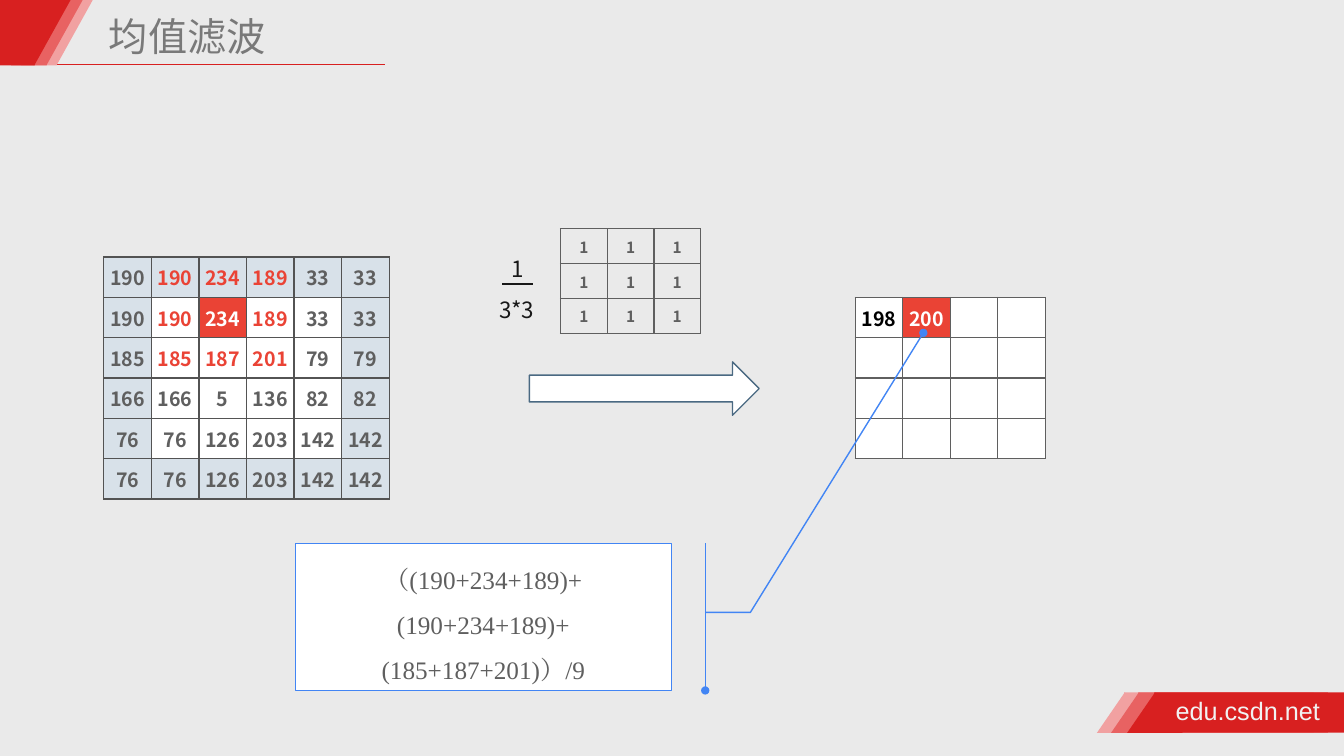
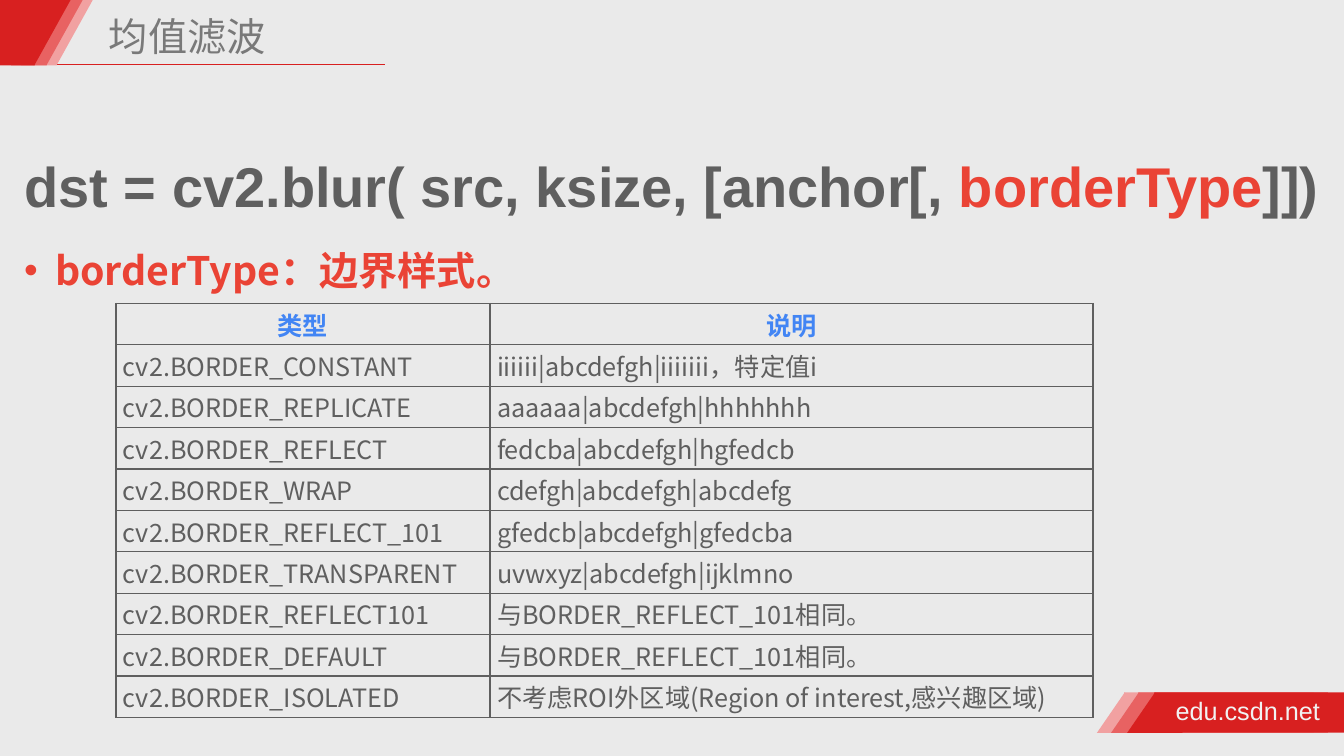
from lxml import etree
from pptx import Presentation
from pptx.dml.color import RGBColor
from pptx.enum.shapes import MSO_CONNECTOR, MSO_SHAPE
from pptx.enum.text import MSO_ANCHOR, MSO_AUTO_SIZE, PP_ALIGN
from pptx.oxml import parse_xml
from pptx.oxml.ns import nsdecls, qn
from pptx.util import Pt

PX = 9144
LEFT, CENTER = PP_ALIGN.LEFT, PP_ALIGN.CENTER
TOP, MIDDLE = MSO_ANCHOR.TOP, MSO_ANCHOR.MIDDLE
STRAIGHT = MSO_CONNECTOR.STRAIGHT
RECT, TRIANGLE = MSO_SHAPE.RECTANGLE, MSO_SHAPE.ISOSCELES_TRIANGLE
ARROW = MSO_SHAPE.RIGHT_ARROW
CALLOUT = MSO_SHAPE.LINE_CALLOUT_2_BORDER_AND_ACCENT_BAR
SANS, ARIAL, TIMES = "Noto Sans CJK SC", "Arial", "Times New Roman"
HEX = {
    "bg": "EAEAEA", "brand": "D82020", "mid": "E86262", "pale": "F1A1A1",
    "footer": "F2F2F2", "title": "797979", "text": "5F5F5F", "ink": "181818",
    "black": "000000", "white": "FFFFFF", "red": "EA4335", "blue": "4285F4",
    "pad": "D8E1E9", "edge": "535353", "arrow": "4A6982",
}
RGB = {name: RGBColor.from_string(value) for name, value in HEX.items()}
SIDES = (("lnL", 0, -1), ("lnR", 0, 1), ("lnT", -1, 0), ("lnB", 1, 0))


def style(p, size, color, font=SANS, bold=False, spacing=None, align=None):
    p.alignment = align
    p.line_spacing = spacing
    for r in p.runs:
        r.font.size = Pt(size)
        r.font.bold = bold
        r.font.name = font
        r.font.color.rgb = RGB[color]
        ea = etree.SubElement(r.font._element, qn("a:ea"))
        ea.set("typeface", font)


def add_grid(s, box, rows, size, side, edge="text"):
    frame = s.shapes.add_table(len(rows), len(rows[0]), *[v * PX for v in box])
    table = frame.table
    table.first_row = table.horz_banding = False
    used = {(i, j) for i, row in enumerate(rows) for j, item in enumerate(row) if item}
    for i, row in enumerate(rows):
        for j, item in enumerate(row):
            text, color, fill = item or ("", "text", None)
            cell = table.cell(i, j)
            cell.margin_left = cell.margin_right = side * PX
            cell.margin_top = cell.margin_bottom = 0
            cell.vertical_anchor = MIDDLE
            for tag, di, dj in SIDES:
                paint = "<a:noFill/>"
                if item or (i + di, j + dj) in used:
                    paint = f'<a:solidFill><a:srgbClr val="{HEX[edge]}"/></a:solidFill>'
                cell._tc.get_or_add_tcPr().append(parse_xml(
                    f'<a:{tag} {nsdecls("a")} w="12700">{paint}</a:{tag}>'))
            if fill:
                cell.fill.solid()
                cell.fill.fore_color.rgb = RGB[fill]
            else:
                cell.fill.background()
            cell.text_frame.text = text
            style(cell.text_frame.paragraphs[0], size, color, bold=True, align=CENTER)
    return table


prs = Presentation()
prs.slide_width, prs.slide_height = 1333 * PX, 750 * PX
layout = prs.slide_layouts[5]
layout.background.fill.solid()
layout.background.fill.fore_color.rgb = RGB["bg"]
for ph in list(layout.placeholders):
    if ph.placeholder_format.idx:
        ph.element.getparent().remove(ph.element)
    else:
        ph.left, ph.top, ph.width, ph.height = 103 * PX, 12 * PX, 436 * PX, 53 * PX

slides = [prs.slides.add_slide(layout) for _ in range(2)]
for s in slides:
    tf = s.shapes.title.text_frame
    tf.text = "均值滤波"
    tf.vertical_anchor = TOP
    tf.auto_size = MSO_AUTO_SIZE.NONE
    tf.margin_left = tf.margin_right = tf.margin_top = tf.margin_bottom = 5 * PX
    style(tf.paragraphs[0], 28, "title", spacing=0.9, align=LEFT)

s = slides[0]
rule = s.shapes.add_connector(STRAIGHT, 49 * PX, 64 * PX, 382 * PX, 64 * PX)
rule.line.color.rgb = RGB["brand"]
rule.line.width = Pt(1)
etree.SubElement(rule._element.spPr, qn("a:effectLst"))
shared = [rule]
bands = []
for color, x in (("pale", 1115), ("mid", 1129), ("brand", 1145)):
    bands.append((RECT, color, (x, 687, 188, 40), False))
    bands.append((TRIANGLE, color, (x - 27, 687, 55, 40), False))
for color, x in (("pale", 20), ("mid", 10), ("brand", -2)):
    bands.append((RECT, color, (x + 1, 0, 35, 65), True))
    bands.append((TRIANGLE, color, (x, 0, 72, 65), True))
for kind, color, box, flipped in bands:
    sp = s.shapes.add_shape(kind, *[v * PX for v in box])
    if flipped:
        sp._element.spPr.find(qn("a:xfrm")).set("flipV", "1")
    sp.shadow.inherit = False
    sp.fill.solid()
    sp.fill.fore_color.rgb = RGB[color]
    sp.line.fill.background()
    shared.append(sp)
footer = s.shapes.add_textbox(1161 * PX, 685 * PX, 155 * PX, 40 * PX)
tf = footer.text_frame
tf.word_wrap = False
tf.margin_left = tf.margin_right = tf.margin_top = tf.margin_bottom = 5 * PX
tf.text = "edu.csdn.net"
style(tf.paragraphs[0], 18, "footer", ARIAL)
shared.append(footer)
for sp in shared:
    layout.shapes.element.append(sp._element)

pixels = [
    [190, 190, 234, 189, 33, 33],
    [190, 190, 234, 189, 33, 33],
    [185, 185, 187, 201, 79, 79],
    [166, 166, 5, 136, 82, 82],
    [76, 76, 126, 203, 142, 142],
    [76, 76, 126, 203, 142, 142],
]
rows = []
for i, values in enumerate(pixels):
    row = []
    for j, value in enumerate(values):
        color = "red" if i < 3 and 1 <= j <= 3 else "text"
        fill = "pad" if i in (0, 5) or j in (0, 5) else "white"
        row.append((str(value), color, fill))
    rows.append(row)
rows[1][2] = ("234", "white", "red")
add_grid(s, (103, 255, 283, 240), rows, 14, 1, "edge")

rows = [[None] * 6 for _ in range(6)]
for row in rows[1:5]:
    row[1:5] = [("", "black", "white")] * 4
rows[1][1:3] = [("198", "black", "white"), ("200", "white", "red")]
add_grid(s, (801, 255, 283, 240), rows, 14, 1)

sp = s.shapes.add_shape(ARROW, 525 * PX, 359 * PX, 228 * PX, 53 * PX)
sp.shadow.inherit = False
sp.fill.solid()
sp.fill.fore_color.rgb = RGB["white"]
sp.line.color.rgb = RGB["arrow"]
sp.line.width = Pt(1)

add_grid(s, (556, 227, 139, 104), [[("1", "text", None)] * 3] * 3, 11, 1)

sp = s.shapes.add_shape(CALLOUT, 293 * PX, 539 * PX, 373 * PX, 146 * PX)
sp._element.spPr.find(qn("a:xfrm")).set("flipH", "1")
for i, value in enumerate((0.47, -0.09, 0.47, -0.21, -1.43, -0.67)):
    sp.adjustments[i] = value
sp.shadow.inherit = False
sp.fill.solid()
sp.fill.fore_color.rgb = RGB["white"]
sp.line.color.rgb = RGB["blue"]
sp.line.width = Pt(1)
etree.SubElement(sp.line._get_or_add_ln(), qn("a:tailEnd")).set("type", "oval")
tf = sp.text_frame
tf.vertical_anchor = MIDDLE
tf.margin_left = tf.margin_right = tf.margin_top = tf.margin_bottom = 5 * PX
tf.text = "（(190+234+189)+\n(190+234+189)+\n(185+187+201)）/9"
for p in tf.paragraphs:
    style(p, 18, "text", TIMES, spacing=1.5, align=CENTER)

for text, x, y, w in (("1", 502, 235, 23), ("3*3", 490, 276, 47)):
    tf = s.shapes.add_textbox(x * PX, y * PX, w * PX, 50 * PX).text_frame
    tf.word_wrap = False
    tf.margin_left = tf.margin_right = tf.margin_top = tf.margin_bottom = 5 * PX
    tf.text = text
    style(tf.paragraphs[0], 16, "ink", spacing=1.5)
bar = s.shapes.add_connector(STRAIGHT, 498 * PX, 282 * PX, 529 * PX, 282 * PX)
bar.line.color.rgb = RGB["ink"]
bar.line.width = Pt(1.5)
etree.SubElement(bar._element.spPr, qn("a:effectLst"))

s = slides[1]
tf = s.shapes.add_textbox(10 * PX, 145 * PX, 1312 * PX, 77 * PX).text_frame
tf.word_wrap = True
p = tf.paragraphs[0]
for text in ("dst = cv2.blur( src, ksize, [anchor[, ", "borderType", "]])"):
    p.add_run().text = text
style(p, 40, "text", ARIAL, True, align=CENTER)
p.runs[1].font.color.rgb = RGB["red"]

tf = s.shapes.add_textbox(14 * PX, 216 * PX, 1000 * PX, 72 * PX).text_frame
tf.word_wrap = True
tf.text = "borderType：边界样式。"
p = tf.paragraphs[0]
style(p, 28, "red", bold=True, spacing=1.5)
pPr = p._p.get_or_add_pPr()
pPr.set("marL", str(31 * PX))
pPr.set("indent", str(-31 * PX))
etree.SubElement(pPr, qn("a:buFont")).set("typeface", ARIAL)
etree.SubElement(pPr, qn("a:buChar")).set("char", "•")

border_types = [
    ("CONSTANT", "iiiiii|abcdefgh|iiiiiii，特定值i"),
    ("REPLICATE", "aaaaaa|abcdefgh|hhhhhhh"),
    ("REFLECT", "fedcba|abcdefgh|hgfedcb"),
    ("WRAP", "cdefgh|abcdefgh|abcdefg"),
    ("REFLECT_101", "gfedcb|abcdefgh|gfedcba"),
    ("TRANSPARENT", "uvwxyz|abcdefgh|ijklmno"),
    ("REFLECT101", "与BORDER_REFLECT_101相同。"),
    ("DEFAULT", "与BORDER_REFLECT_101相同。"),
    ("ISOLATED", "不考虑ROI外区域(Region of interest,感兴趣区域)"),
]
rows = [[("类型", "blue", None), ("说明", "blue", None)]]
for name, meaning in border_types:
    rows.append([("cv2.BORDER_" + name, "text", None), (meaning, "text", None)])
table = add_grid(s, (115, 301, 969, 411), rows, 18, 7)
table.columns[0].width, table.columns[1].width = 371 * PX, 598 * PX
for i in range(1, len(rows)):
    for cell in table.rows[i].cells:
        p = cell.text_frame.paragraphs[0]
        p.alignment = LEFT
        p.runs[0].font.bold = False

prs.save("out.pptx")
